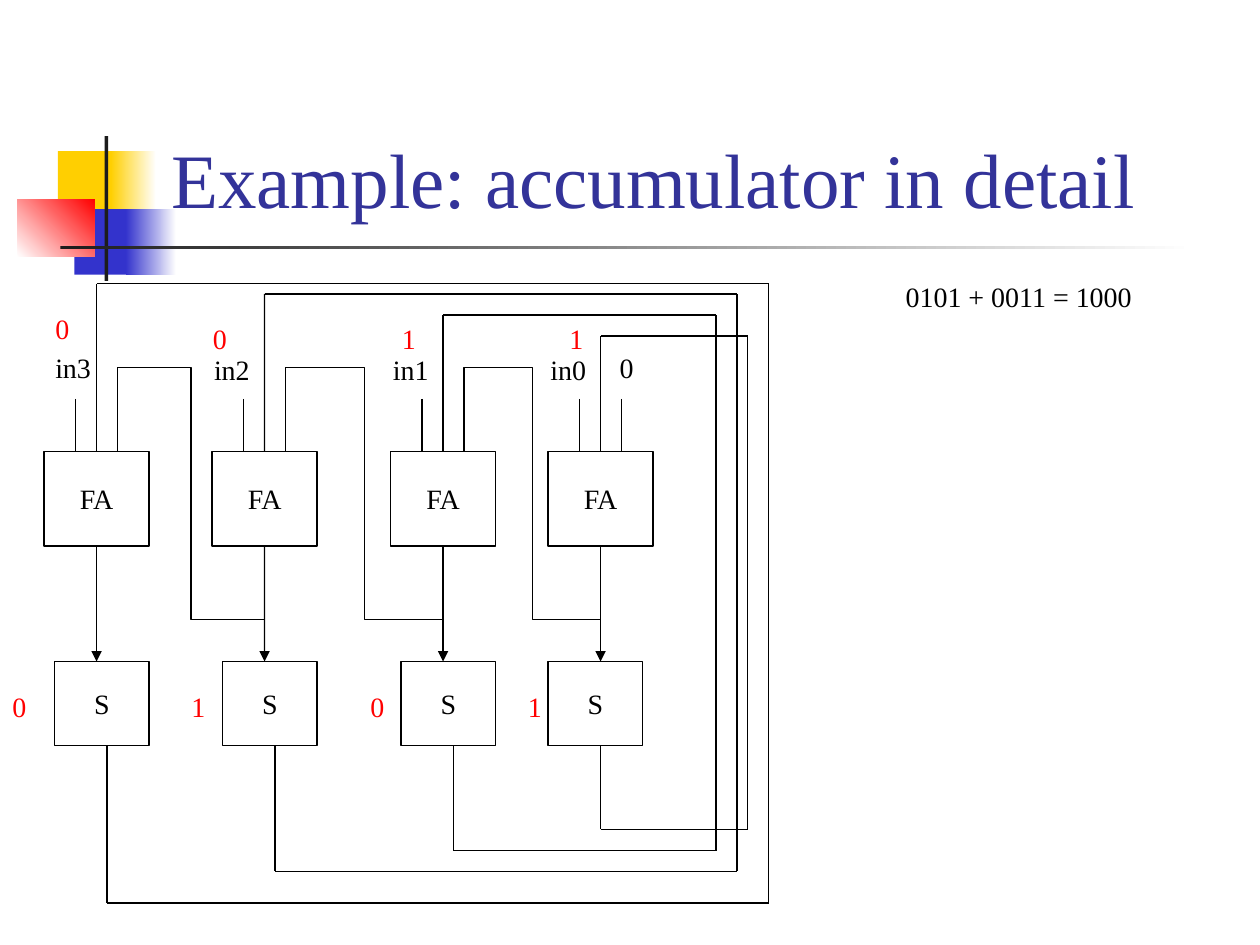
from lxml import etree
from pptx import Presentation
from pptx import util as u
from pptx.dml.color import RGBColor
from pptx.enum import shapes, text
from pptx.oxml.ns import qn

FONT = "Times New Roman"
BLACK, WHITE = RGBColor(0, 0, 0), RGBColor(255, 255, 255)
RED, YELLOW = RGBColor(255, 0, 0), RGBColor(0xFF, 0xCF, 0x01)
BLUE, NAVY = RGBColor(0x33, 0x33, 0xCC), RGBColor(0x33, 0x33, 0x99)
DARK = RGBColor(0x1C, 0x1C, 0x1C)

# Content: boxes are (left, top, width, height) in inches
TITLE = ("Example: accumulator in detail", (1.26, 0.23, 8.52, 1.6))
EQUATION = ("0101 + 0011 = 1000", (7.09, 2.17, 2, 0.37))
CARRY_IN = ("0", (4.82, 2.73, 0.31, 0.37))

# Ornament: box, first colour, last colour (None = solid), angle
ORNAMENT = [
    ((0.46, 1.2, 0.48, 0.52), YELLOW, None, 0),
    ((0.88, 1.2, 0.36, 0.52), YELLOW, WHITE, 0),
    ((0.59, 1.66, 0.46, 0.52), BLUE, None, 0),
    ((1, 1.66, 0.4, 0.52), BLUE, WHITE, 0),
    ((0.14, 1.58, 0.61, 0.46), WHITE, RED, 45),
    ((0.83, 1.08, 0.03, 1.15), DARK, None, 0),
    ((0.48, 1.95, 9, 0.03), DARK, WHITE, 0),
]

# Circuit grid: twelve columns and rows to the inch.
# Feedback is (right column, top row, bottom row); labels are (text, left, top).
STAGES = [
    dict(adder=0, store=1, feedback=(69, 27, 86), name=("in3", 0.34, 2.73),
         bit=("0", 0.34, 2.42), state=("0", 0, 5.42)),
    dict(adder=16, store=17, feedback=(66, 28, 83), name=("in2", 1.6, 2.75),
         bit=("0", 1.59, 2.5), state=("1", 1.42, 5.42)),
    dict(adder=33, store=34, feedback=(64, 30, 81), name=("in1", 3.02, 2.75),
         bit=("1", 3.09, 2.5), state=("0", 2.84, 5.42)),
    dict(adder=48, store=48, feedback=(67, 32, 79), name=("in0", 4.27, 2.75),
         bit=("1", 4.42, 2.5), state=("1", 4.09, 5.42)),
]
GRID_LEFT, CELL = 0.35, 1 / 12
INPUT_ROW, ADDER_ROW, CARRY_ROW, STORE_ROW = 38, 43, 56, 63
ADDER_SIZE, STORE_SIZE = (10, 9), (9, 8)
DATA_PIN, SUM_PIN, CARRY_PIN, STORE_PIN = 3, 5, 7, 5
CARRY_BEND = 3

prs = Presentation()
prs.slide_width, prs.slide_height = u.Inches(10), u.Inches(7.5)
slide = prs.slides.add_slide(prs.slide_layouts[6])


def inches(values):
    return [u.Inches(value) for value in values]


def grid(column, row):
    return inches((GRID_LEFT + column * CELL, row * CELL))


def write(frame, words, size=16, color=BLACK, align=text.PP_ALIGN.LEFT,
          anchor=text.MSO_ANCHOR.TOP, wrap=False):
    frame.word_wrap = wrap
    frame.vertical_anchor = anchor
    paragraph = frame.paragraphs[0]
    paragraph.alignment = align
    run = paragraph.add_run()
    run.text = words
    run.font.name, run.font.size = FONT, u.Pt(size)
    run.font.color.rgb = color


def label(words, box, **style):
    frame = slide.shapes.add_textbox(*inches(box)).text_frame
    write(frame, words, **style)


def block(words, column, row, size):
    box = slide.shapes.add_shape(shapes.MSO_SHAPE.RECTANGLE, *grid(column, row),
                                 *inches(cells * CELL for cells in size))
    box.shadow.inherit = False
    box.fill.background()
    box.line.color.rgb, box.line.width = BLACK, u.Pt(0.75)
    write(box.text_frame, words, align=text.PP_ALIGN.CENTER,
          anchor=text.MSO_ANCHOR.MIDDLE)
    return box


def wire(start, end, kind=shapes.MSO_CONNECTOR.STRAIGHT, arrow=False):
    line = slide.shapes.add_connector(kind, *grid(*start), *grid(*end))
    line.line.color.rgb, line.line.width = BLACK, u.Pt(0.75)
    if arrow:
        outline = line.line._get_or_add_ln()
        etree.SubElement(outline, qn("a:tailEnd"), type="triangle")
    etree.SubElement(line._element.spPr, qn("a:effectLst"))
    return line


def carry_wire(start, end):
    """Five-part elbow leaving downwards and arriving from above."""
    (x1, y1), (x2, y2) = start, end
    middle_x, middle_y = (x1 + x2) / 2, (y1 + y2) / 2
    wide, high = y1 - y2, x1 - x2
    line = wire((middle_x - wide / 2, middle_y - high / 2),
                (middle_x + wide / 2, middle_y + high / 2),
                kind=shapes.MSO_CONNECTOR.ELBOW)
    properties = line._element.spPr
    turn = properties.find(qn("a:xfrm"))
    turn.set("rot", str(270 * 60000))
    turn.set("flipV", "1")
    geometry = properties.find(qn("a:prstGeom"))
    geometry.set("prst", "bentConnector5")
    guides = geometry.find(qn("a:avLst"))
    if guides is None:
        guides = etree.SubElement(geometry, qn("a:avLst"))
    overshoot = CARRY_BEND / wide
    for number, share in enumerate((-overshoot, 0.5, 1 + overshoot), 1):
        etree.SubElement(guides, qn("a:gd"), name=f"adj{number}",
                         fmla=f"val {round(share * 100000)}")


# Ornament and title
for box, first, last, angle in ORNAMENT:
    tile = slide.shapes.add_shape(shapes.MSO_SHAPE.RECTANGLE, *inches(box))
    tile.shadow.inherit = False
    tile.line.fill.background()
    if last is None:
        tile.fill.solid()
        tile.fill.fore_color.rgb = first
    else:
        tile.fill.gradient()
        tile.fill.gradient_angle = angle
        for stop, color in zip(tile.fill.gradient_stops, (first, last)):
            stop.color.rgb = color
label(*TITLE, size=44, color=NAVY, anchor=text.MSO_ANCHOR.BOTTOM, wrap=True)

# Adders, stores and the wires of each stage
for stage in STAGES:
    left = stage["adder"]
    adder = block("FA", left, ADDER_ROW, ADDER_SIZE)
    block("S", stage["store"], STORE_ROW, STORE_SIZE)
    for pin in (DATA_PIN, CARRY_PIN):
        wire((left + pin, INPUT_ROW), (left + pin, ADDER_ROW))
    sum_column = left + SUM_PIN
    sum_wire = wire((sum_column, ADDER_ROW + ADDER_SIZE[1]),
                    (sum_column, STORE_ROW), arrow=True)
    sum_wire.begin_connect(adder, 2)

    right, top, bottom = stage["feedback"]
    out = stage["store"] + STORE_PIN
    corners = [(out, STORE_ROW + STORE_SIZE[1]), (out, bottom), (right, bottom),
               (right, top), (sum_column, top), (sum_column, ADDER_ROW)]
    for start, end in zip(corners, corners[1:]):
        feedback_wire = wire(start, end)
    feedback_wire.end_connect(adder, 0)

# Carries between neighbouring stages
for higher, lower in zip(STAGES, STAGES[1:]):
    carry_wire((lower["adder"] + SUM_PIN, CARRY_ROW),
               (higher["adder"] + CARRY_PIN, INPUT_ROW))

# Labels
for stage in STAGES:
    for part, width, color in (("name", 0.48, BLACK), ("bit", 0.31, RED),
                               ("state", 0.31, RED)):
        words, x, y = stage[part]
        label(words, (x, y, width, 0.37), color=color)
label(*CARRY_IN)
label(*EQUATION)

prs.save("out.pptx")
